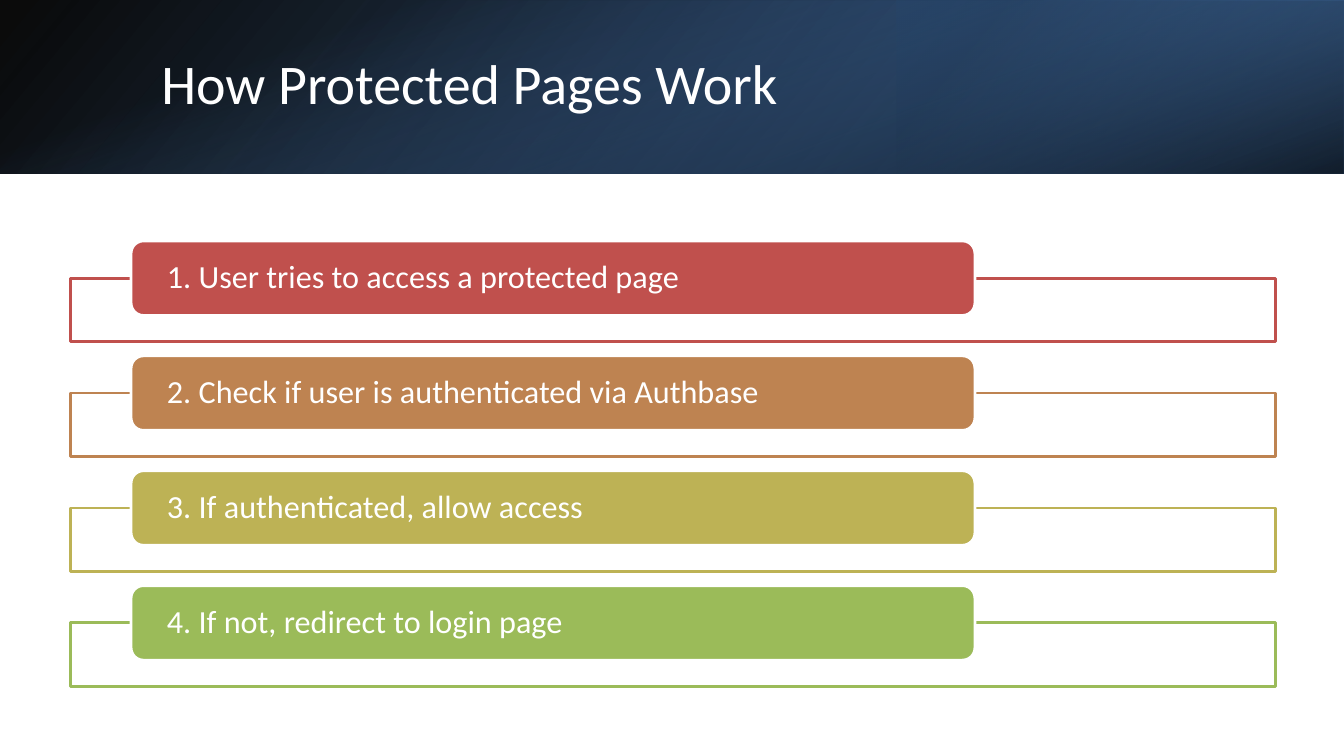
from lxml import etree
from pptx import Presentation
from pptx.dml.color import RGBColor
from pptx.enum.shapes import MSO_SHAPE
from pptx.enum.text import MSO_ANCHOR, PP_ALIGN
from pptx.oxml import parse_xml
from pptx.oxml.ns import nsdecls, qn
from pptx.util import Inches, Pt

WHITE = "FFFFFF"
STEPS = [
    ("1. User tries to access a protected page", "C0504D"),
    ("2. Check if user is authenticated via Authbase", "BE8351"),
    ("3. If authenticated, allow access", "BDB255"),
    ("4. If not, redirect to login page", "9BBB59"),
]
FIRST_TOP, STEP_PITCH = 2.39, 1.14


def rgb(hex_color):
    return RGBColor.from_string(hex_color)


def add_box(s, kind, left, top, width, height):
    sp = s.shapes.add_shape(kind, Inches(left), Inches(top), Inches(width), Inches(height))
    sp.shadow.inherit = False
    return sp


def paint(sp, fill, line):
    sp.fill.solid()
    sp.fill.fore_color.rgb = rgb(fill)
    sp.line.color.rgb = rgb(line)
    sp.line.width = Pt(2)


def add_gradient_band(s, box, stops, angle, rotation=0, flip=False):
    """Stops are (position %, colour, opacity %)."""
    sp = add_box(s, MSO_SHAPE.RECTANGLE, *box)
    sp.line.fill.background()
    sp.rotation = rotation
    spPr = sp.element.spPr
    if flip:
        spPr.find(qn("a:xfrm")).set("flipH", "1")
    stop_xml = "".join(
        f'<a:gs pos="{pos * 1000}"><a:srgbClr val="{color}">'
        f'<a:alpha val="{opacity * 1000}"/></a:srgbClr></a:gs>'
        for pos, color, opacity in stops
    )
    gradient = parse_xml(
        f'<a:gradFill {nsdecls("a")} rotWithShape="1"><a:gsLst>{stop_xml}</a:gsLst>'
        f'<a:lin ang="{angle * 60000}" scaled="0"/></a:gradFill>'
    )
    spPr.find(qn("a:prstGeom")).addnext(gradient)


def write(tf, text, size):
    tf.text = text
    tf.word_wrap = True
    tf.vertical_anchor = MSO_ANCHOR.MIDDLE
    p = tf.paragraphs[0]
    p.alignment = PP_ALIGN.LEFT
    p.line_spacing = 0.9
    font = p.runs[0].font
    font.name = "Calibri"
    font.size = Pt(size)
    font.color.rgb = rgb(WHITE)


def add_header(s, text):
    add_gradient_band(s, (0, 0, 13.33, 1.72),
                      [(0, "000000", 96), (100, "376092", 100)], 140, flip=True)
    add_gradient_band(s, (8.89, 0, 4.44, 1.72),
                      [(19, "254061", 68), (100, "4F81BD", 79)], 320, 180, flip=True)
    add_gradient_band(s, (5.8, -5.8, 1.72, 13.33),
                      [(23, "4F81BD", 0), (99, "000000", 74)], 340, 90)
    title = s.shapes.title
    title.left, title.top = Inches(1.5), Inches(0.38)
    title.width, title.height = Inches(10.98), Inches(0.96)
    write(title.text_frame, text, 40)
    title.element.getparent().append(title.element)  # bring above the bands


def add_step(s, top, text, color):
    frame = add_box(s, MSO_SHAPE.RECTANGLE, 0.7, top + 0.37, 11.95, 0.63)
    paint(frame, WHITE, color)
    fill_color = frame.element.spPr.find(qn("a:solidFill"))[0]
    etree.SubElement(fill_color, qn("a:alpha")).set("val", "90000")

    label = add_box(s, MSO_SHAPE.ROUNDED_RECTANGLE, 1.3, top, 8.37, 0.74)
    paint(label, color, WHITE)
    tf = label.text_frame
    tf.margin_left = tf.margin_right = Inches(0.32)
    tf.margin_top = tf.margin_bottom = 0
    write(tf, text, 23)


def main():
    prs = Presentation()
    prs.slide_width, prs.slide_height = Inches(13.33), Inches(7.5)
    s = prs.slides.add_slide(prs.slide_layouts[5])
    add_header(s, "How Protected Pages Work")
    for i, (text, color) in enumerate(STEPS):
        add_step(s, FIRST_TOP + i * STEP_PITCH, text, color)
    prs.save("out.pptx")


if __name__ == "__main__":
    main()
